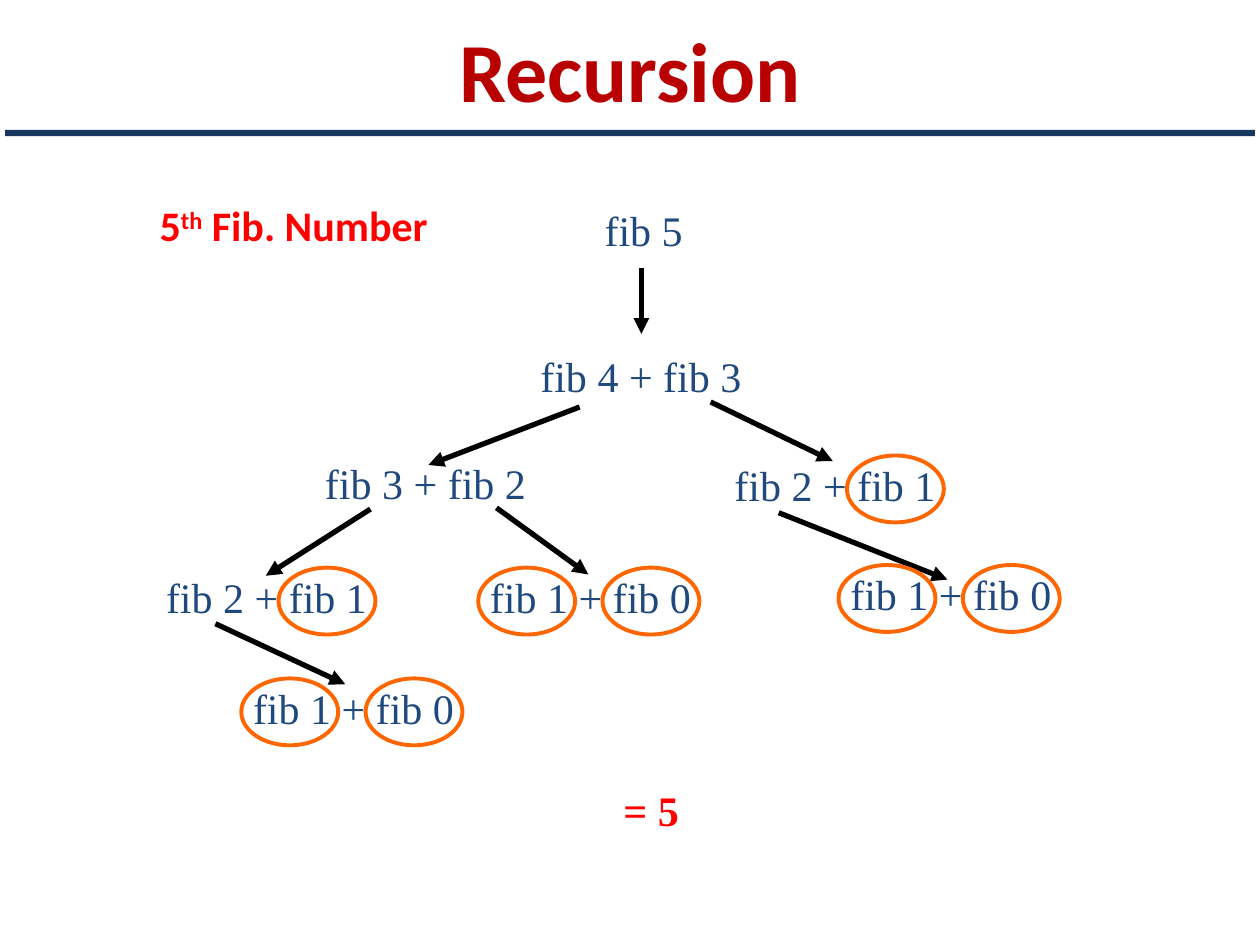
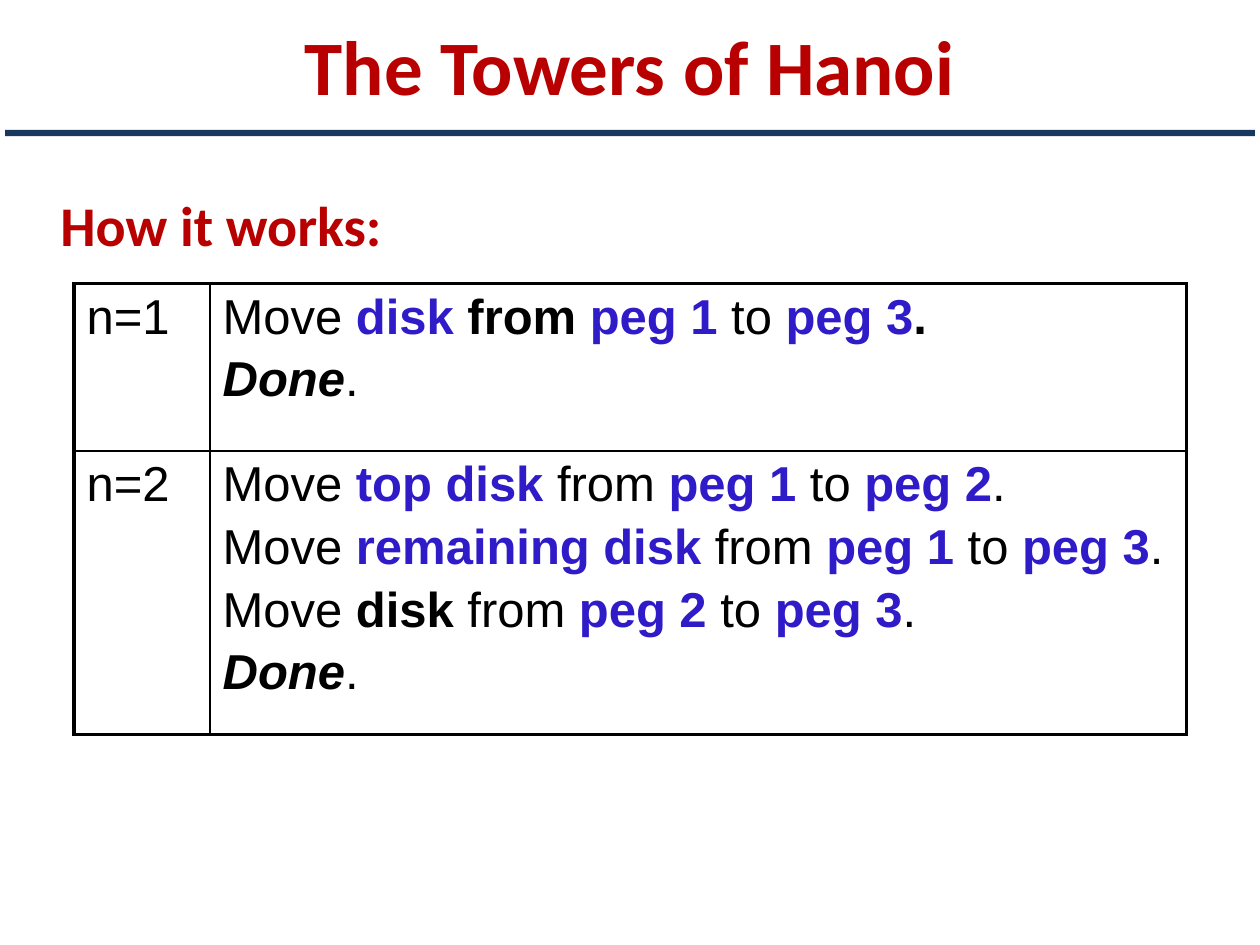
from lxml import etree
from pptx import Presentation
from pptx.dml.color import RGBColor
from pptx.enum.shapes import MSO_CONNECTOR, MSO_SHAPE
from pptx.enum.text import MSO_ANCHOR, PP_ALIGN
from pptx.oxml.ns import qn
from pptx.util import Pt

STRAIGHT = MSO_CONNECTOR.STRAIGHT
OVAL, BAR = MSO_SHAPE.OVAL, MSO_SHAPE.RECTANGLE
TOP, MIDDLE = MSO_ANCHOR.TOP, MSO_ANCHOR.MIDDLE
LEFT, CENTER = PP_ALIGN.LEFT, PP_ALIGN.CENTER

HEADING, NAVY, TERM, RED = "B80000", "17375E", "1F497D", "FF0000"
ORANGE, BLACK, BLUE = "FF6600", "000000", "2F1BC7"
SANS, SERIF, TABLE_FONT = "Calibri", "Times New Roman", "Arial"

PLAIN = {}
BOLD = {"bold": True}
MARKED = {"bold": True, "color": BLUE}
DONE = [("Done", {"bold": True, "italic": True}), (".", PLAIN)]

EXPRESSIONS = [
    ("fib 5", 302.4, 116.6),
    ("fib 4 + fib 3", 265.7, 200.2),
    ("fib 3 + fib 2", 142.6, 261.4),
    ("fib 2 + fib 1", 376.6, 262.1),
    ("fib 2 + fib 1", 51.8, 326.2),
    ("fib 1 + fib 0", 236.9, 326.2),
    ("fib 1 + fib 0", 442.8, 324.7),
    ("fib 1 + fib 0", 101.5, 389.5),
]
BASE_CASES = ("fib 0", "fib 1")
TERM_OFFSETS = (36.4, 107.4)
CALLS = [
    (366.5, 153.4, 366.5, 190.8),
    (331.2, 232.6, 244.8, 265.7),
    (406.1, 229.7, 475.9, 263.5),
    (211.7, 290.9, 151.9, 329),
    (283.7, 290.2, 336.2, 328.3),
    (445, 293, 541.4, 331.2),
    (123.1, 356.4, 197.3, 391),
]


def rgb(value):
    """Turn a hex string into a colour."""
    return RGBColor.from_string(value)


def move(disk, start, end):
    """Return the spans of one move between two pegs."""
    return [("Move ", PLAIN), disk, (" from ", PLAIN), (f"peg {start}", MARKED),
            (" to ", PLAIN), (f"peg {end}", MARKED), (".", PLAIN)]


class SlideWriter:
    """Hold the deck style and the slide being drawn."""

    def __init__(self):
        """Start an empty deck of 10 by 7.5 inches."""
        self.deck = Presentation()
        self.deck.slide_width, self.deck.slide_height = Pt(720), Pt(540)

    def start_page(self, title, size, height):
        """Add a page with its title and the band below it."""
        self.page = self.deck.slides.add_slide(self.deck.slide_layouts[6])
        self.text([(title, BOLD)], (0, 0, 720, height), size, HEADING,
                  anchor=MIDDLE, align=CENTER)
        band = self.shape(BAR, 2.9, 74.2, 714.2, 3.6)
        band.fill.solid()
        band.fill.fore_color.rgb = rgb(NAVY)
        band.line.fill.background()

    def shape(self, kind, left, top, width, height):
        """Add a preset shape without shadow."""
        shape = self.page.shapes.add_shape(kind, Pt(left), Pt(top), Pt(width), Pt(height))
        shape.shadow.inherit = False
        return shape

    def ring(self, left, top):
        """Circle a base case."""
        ring = self.shape(OVAL, left, top, 55.4, 38.2)
        ring.fill.background()
        ring.line.color.rgb = rgb(ORANGE)
        ring.line.width = Pt(2.25)

    def arrow(self, *ends):
        """Draw a black arrow from one point to another."""
        arrow = self.page.shapes.add_connector(STRAIGHT, *map(Pt, ends))
        arrow.line.color.rgb = rgb(BLACK)
        arrow.line.width = Pt(3)
        properties = arrow._element.spPr
        etree.SubElement(properties.find(qn("a:ln")), qn("a:tailEnd"), type="triangle")
        etree.SubElement(properties, qn("a:effectLst"))

    def spans(self, para, spans, size, color, font):
        """Write styled spans into a paragraph."""
        for text, style in spans:
            span = para.add_run()
            span.text = text
            span.font.name, span.font.size = font, Pt(size)
            span.font.bold = style.get("bold", False)
            span.font.italic = style.get("italic", False)
            span.font.color.rgb = rgb(style.get("color", color))
            if "raised" in style:
                span._r.get_or_add_rPr().set("baseline", style["raised"])

    def text(self, spans, place, size, color, font=SANS, anchor=TOP, align=LEFT, spacing=1):
        """Add a text box with one paragraph."""
        box = self.page.shapes.add_textbox(*map(Pt, place))
        frame = box.text_frame
        frame.word_wrap = True
        frame.vertical_anchor = anchor
        para = frame.paragraphs[0]
        para.alignment, para.line_spacing = align, spacing
        self.spans(para, spans, size, color, font)

    def tree_text(self, spans, left, top, width, color=TERM, font=SERIF):
        """Add a label of the recursion tree, inset by half an inch."""
        self.text(spans, (left + 36, top, width - 36, 33.1), 24, color, font, spacing=0.9)

    def table(self, rows, place, widths, heights):
        """Add a table with a heavy frame and thin inner rules."""
        table = self.page.shapes.add_table(len(rows), len(widths), *map(Pt, place)).table
        table.first_row = table.horz_banding = False
        for column, width in zip(table.columns, widths):
            column.width = Pt(width)
        for row, height in zip(table.rows, heights):
            row.height = Pt(height)
        for row, cells in enumerate(rows):
            for column, lines in enumerate(cells):
                cell = table.cell(row, column)
                cell.fill.background()
                for index, line in enumerate(lines):
                    frame = cell.text_frame
                    para = frame.add_paragraph() if index else frame.paragraphs[0]
                    para.space_before = Pt(4.6 if index else 0)
                    self.spans(para, line, 28, BLACK, TABLE_FONT)
                outer = {"L": column == 0, "R": column == len(widths) - 1,
                         "T": row == 0, "B": row == len(rows) - 1}
                self.borders(cell, outer)

    def borders(self, cell, outer):
        """Rule the four sides of a cell, heavier on the outside."""
        properties = cell._tc.get_or_add_tcPr()
        for index, (side, heavy) in enumerate(outer.items()):
            width = Pt(2.25 if heavy else 1)
            rule = etree.Element(qn(f"a:ln{side}"), w=str(width))
            fill = etree.SubElement(rule, qn("a:solidFill"))
            etree.SubElement(fill, qn("a:srgbClr"), val=BLACK)
            properties.insert(index, rule)


def draw_recursion(writer):
    """Draw the call tree of the fifth Fibonacci number."""
    writer.start_page("Recursion", 48, 79.2)
    for ends in CALLS:
        writer.arrow(*ends)
    heading = [("5", BOLD), ("th", {"bold": True, "raised": "30000"}), (" Fib. Number", BOLD)]
    writer.tree_text(heading, 48.2, 113.8, 225.4, RED, SANS)
    for expression, left, top in EXPRESSIONS:
        writer.tree_text([(expression, PLAIN)], left, top, 200.9)
        for term, offset in zip(expression.split(" + "), TERM_OFFSETS):
            if term in BASE_CASES:
                writer.ring(left + offset, top - 1.8)
    writer.tree_text([("= 5", BOLD)], 313.2, 447.8, 105.8, RED)


def draw_hanoi(writer):
    """Draw the table of moves for one and two disks."""
    writer.start_page("The Towers of Hanoi", 44, 74.2)
    writer.text([("How it works:", BOLD)], (27.4, 105.1, 666, 48), 32, HEADING)
    one_disk = [("Move ", PLAIN), ("disk ", MARKED), ("from ", BOLD), ("peg 1", MARKED),
                (" to ", PLAIN), ("peg 3", MARKED), (".", BOLD)]
    two_disks = [move(("top disk", MARKED), 1, 2),
                 move(("remaining disk", MARKED), 1, 3),
                 move(("disk", BOLD), 2, 3)]
    rows = [
        ([[("n=1", PLAIN)]], [one_disk, DONE]),
        ([[("n=2", PLAIN)]], [*two_disks, DONE]),
    ]
    writer.table(rows, (42.3, 162, 635.8, 257.8), (77.8, 558), (95.8, 162))


def main():
    """Build both slides and save the deck."""
    writer = SlideWriter()
    draw_recursion(writer)
    draw_hanoi(writer)
    writer.deck.save("out.pptx")


if __name__ == "__main__":
    main()
